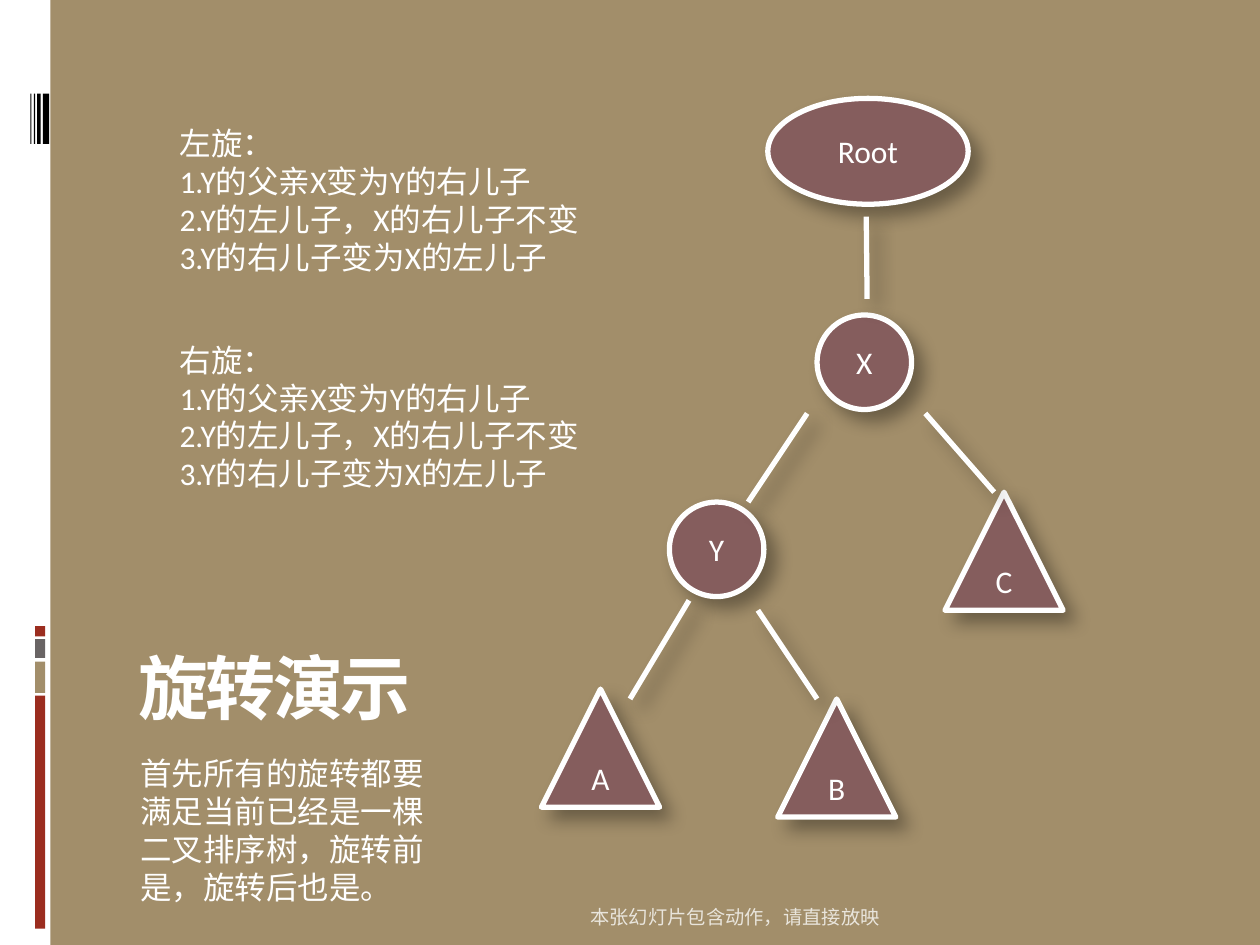
from lxml.etree import SubElement
from pptx import Presentation
from pptx.dml.color import RGBColor
from pptx.enum.shapes import MSO_CONNECTOR as Connector, MSO_SHAPE as Shape
from pptx.enum.text import MSO_ANCHOR as Anchor, MSO_AUTO_SIZE as AutoSize, PP_ALIGN as Align
from pptx.oxml.ns import qn
from pptx.util import Pt

COLORS = {"tan": "A28E6A", "white": "FFFFFF", "red": "9B2D1F", "gray": "696464",
          "black": "000000", "mauve": "855D5D", "cream": "E9E5DC"}
FONT = "Calibri"


def color(name):
    """Return the named colour."""
    return RGBColor.from_string(COLORS[name])


def fill_text(frame, lines, size=18, tint="white", align=Align.LEFT, bold=False):
    """Write one formatted paragraph per line."""
    frame.text = "\n".join(lines)
    for para in frame.paragraphs:
        para.alignment = align
        para.font.name = FONT
        para.font.size = Pt(size)
        para.font.bold = bold
        para.font.color.rgb = color(tint)


def add_shadow(item):
    """Give a shape or connector a soft shadow to the lower right."""
    properties = item._element.spPr
    effects = properties.find(qn("a:effectLst"))
    if effects is None:
        effects = SubElement(properties, qn("a:effectLst"))
    shadow = SubElement(effects, qn("a:outerShdw"), blurRad=str(Pt(10.2)), dist=str(Pt(8)),
                        dir="2700000", algn="tl", rotWithShape="0")
    tone = SubElement(shadow, qn("a:srgbClr"), val=COLORS["black"])
    SubElement(tone, qn("a:alpha"), val="35000")


def add_bar(page, left, top, width, height, tint):
    """Add a plain borderless rectangle."""
    bar = page.shapes.add_shape(Shape.RECTANGLE, Pt(left), Pt(top), Pt(width), Pt(height))
    bar.fill.solid()
    bar.fill.fore_color.rgb = color(tint)
    bar.line.fill.background()
    bar.shadow.inherit = False


def add_node(page, kind, label, left, top, width, height):
    """Add a labelled tree node."""
    node = page.shapes.add_shape(kind, Pt(left), Pt(top), Pt(width), Pt(height))
    node.fill.solid()
    node.fill.fore_color.rgb = color("mauve")
    node.line.color.rgb = color("white")
    node.line.width = Pt(3)
    node.shadow.inherit = False
    add_shadow(node)
    node.text_frame.vertical_anchor = Anchor.MIDDLE
    fill_text(node.text_frame, [label], align=Align.CENTER)


def add_branch(page, *ends):
    """Add a line between two tree nodes."""
    branch = page.shapes.add_connector(Connector.STRAIGHT, *map(Pt, ends))
    branch.line.color.rgb = color("white")
    branch.line.width = Pt(3)
    add_shadow(branch)


def add_text(page, left, top, width, height, lines, anchor=Anchor.TOP, **style):
    """Add a wrapping text box."""
    box = page.shapes.add_textbox(Pt(left), Pt(top), Pt(width), Pt(height))
    box.text_frame.word_wrap = True
    box.text_frame.vertical_anchor = anchor
    fill_text(box.text_frame, lines, **style)


def set_title(page, text):
    """Place and format the title."""
    title = page.shapes.title
    title.left, title.top, title.width, title.height = Pt(72), Pt(264), Pt(612), Pt(156)
    frame = title.text_frame
    frame.auto_size = AutoSize.NONE
    frame.vertical_anchor = Anchor.BOTTOM
    fill_text(frame, [text], size=40, bold=True)
    frame.paragraphs[0].runs[0].font._element.set("spc", "-150")


def add_sidebar(page):
    """Add the white strip with its colour blocks and stripes."""
    add_bar(page, 0, 0, 28.8, 540, "white")
    for top, height, tint in [(397.5, 133.2, "red"), (378, 18, "tan"),
                              (365.2, 10.8, "gray"), (357.8, 5.8, "red")]:
        add_bar(page, 20, top, 5.8, height, tint)
    for left, width in [(24.5, 3.6), (21.2, 2), (19.4, 0.8), (17.4, 0.6)]:
        add_bar(page, left, 53.5, width, 28.8, "black")


def add_tree(page):
    """Add the rotation tree."""
    add_node(page, Shape.OVAL, "Root", 438.75, 56.25, 114.5, 60.5)
    for label, left, top in [("X", 466.9, 180), ("Y", 382.5, 286.9)]:
        add_node(page, Shape.OVAL, label, left, top, 54, 54)
    for label, left, top in [("A", 309.4, 393.75), ("C", 540, 281.25), ("B", 444.4, 399.4)]:
        add_node(page, Shape.ISOSCELES_TRIANGLE, label, left, top, 67.5, 67.5)
    for ends in [(495, 123.75, 495.5, 170.75), (461.25, 236.25, 427.5, 286.9),
                 (393.75, 343.1, 360, 399.4), (433.1, 348.75, 466.9, 399.4),
                 (528.75, 236.25, 568.1, 281.25)]:
        add_branch(page, *ends)


def main():
    """Build and save the deck."""
    deck = Presentation()
    deck.slide_width, deck.slide_height = Pt(720), Pt(540)
    page = deck.slides.add_slide(deck.slide_layouts[5])
    page.background.fill.solid()
    page.background.fill.fore_color.rgb = color("tan")
    add_sidebar(page)
    set_title(page, "旋转演示")
    add_tree(page)
    add_text(page, 73.1, 427.5, 178, 94.5,
             ["首先所有的旋转都要", "满足当前已经是一棵", "二叉排序树，旋转前", "是，旋转后也是。"])
    steps = ["1.Y的父亲X变为Y的右儿子", "2.Y的左儿子，X的右儿子不变", "3.Y的右儿子变为X的左儿子"]
    for heading, top in [("左旋：", 67.5), ("右旋：", 191.25)]:
        add_text(page, 95.5, top, 248.5, 116.5, [heading, *steps])
    add_text(page, 72, 505.5, 438, 28.8, ["本张幻灯片包含动作，请直接放映"],
             anchor=Anchor.BOTTOM, size=11, tint="cream", align=Align.RIGHT)
    deck.save("out.pptx")


main()
